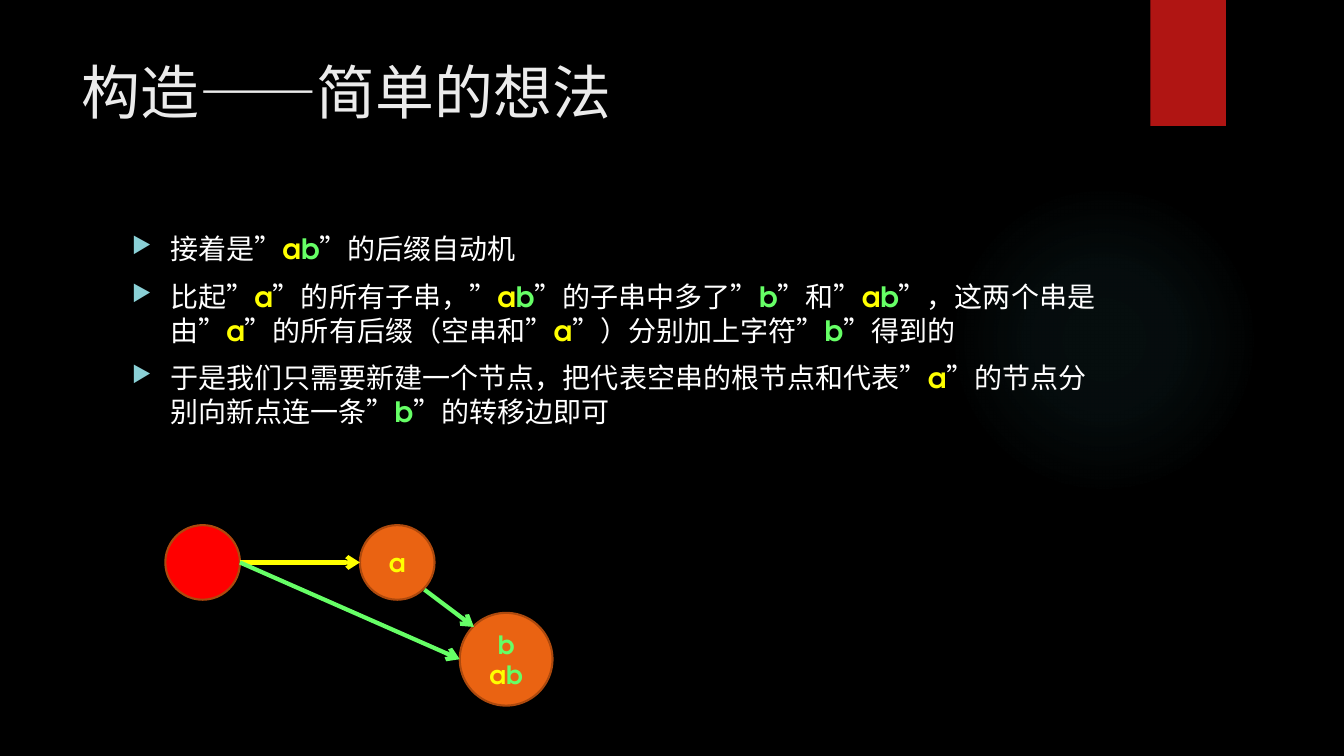
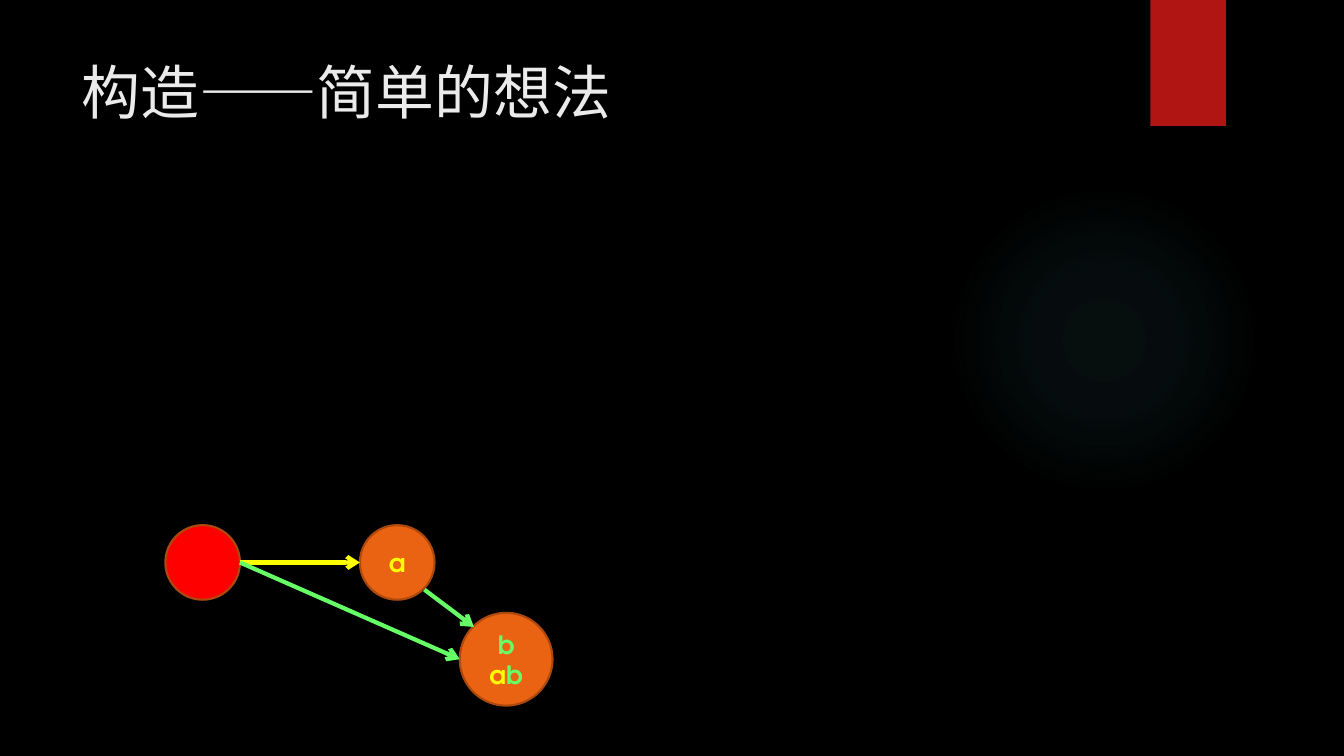
from itertools import groupby

from lxml import etree
from pptx import Presentation
from pptx.dml.color import RGBColor
from pptx.enum.shapes import MSO_CONNECTOR, MSO_SHAPE
from pptx.enum.text import MSO_ANCHOR, PP_ALIGN
from pptx.oxml import parse_xml
from pptx.oxml.ns import nsdecls, qn
from pptx.util import Inches, Pt

FONT = "TeX Gyre Adventor"
WHITE, TITLE, BAND, TEAL = "FFFFFF", "EBEBEB", "B01513", "50B9C1"
ROOT, NODE, NODE_EDGE, BULLET = "FF0000", "EA6312", "AD490D", "8AD0D6"
YELLOW, GREEN = "FFFF00", "66FF66"
LETTER_COLOURS = {"a": YELLOW, "b": GREEN}
GLOW_STOPS = [(0, 7), (36, 6), (69, 0)]  # position and opacity in percent

HEADING = "构造——简单的想法"
POINTS = [
    "接着是”ab”的后缀自动机",
    "比起”a”的所有子串，”ab”的子串中多了”b”和”ab”，这两个串是由”a”的所有后缀（空串和”a”）分别加上字符”b”得到的",
    "于是我们只需要新建一个节点，把代表空串的根节点和代表”a”的节点分别向新点连一条”b”的转移边即可",
]
# Left, top, diameter, fill, one label per line
STATES = [
    (1.64, 5.21, 0.74, ROOT, []),
    (3.57, 5.21, 0.74, NODE, ["a"]),
    (4.56, 6.08, 0.92, NODE, ["b", "ab"]),
]
# Start, end, letter read along the transition
TRANSITIONS = [
    ((2.38, 5.58), (3.57, 5.58), "a"),
    ((2.38, 5.58), (4.56, 6.54), "b"),
    ((4.21, 5.85), (4.70, 6.22), "b"),
]


def rgb(colour):
    return RGBColor.from_string(colour)


def write(frame, lines, size, colour=WHITE):
    """Fill a text frame; the letters a and b get their own colour in bold."""
    frame.word_wrap = True
    for number, line in enumerate(lines):
        paragraph = frame.add_paragraph() if number else frame.paragraphs[0]
        paragraph.font.name, paragraph.font.size = FONT, Pt(size)
        paragraph.font.color.rgb = rgb(colour)
        for letter_colour, letters in groupby(line, LETTER_COLOURS.get):
            run = paragraph.add_run()
            run.text = "".join(letters)
            if letter_colour:
                run.font.bold = True
                run.font.color.rgb = rgb(letter_colour)


prs = Presentation()
prs.slide_width, prs.slide_height = Inches(13.33), Inches(7.5)
background = prs.slide_master.background.fill
background.solid()
background.fore_color.rgb = rgb("000000")

for has_points in (True, False):
    slide = prs.slides.add_slide(prs.slide_layouts[6])

    # Faint round glow
    glow = slide.shapes.add_shape(
        MSO_SHAPE.OVAL, Inches(9.41), Inches(1.83), Inches(3.08), Inches(3.08))
    glow.shadow.inherit = False
    glow.line.fill.background()
    stops = "".join(
        f'<a:gs pos="{position * 1000}"><a:srgbClr val="{TEAL}">'
        f'<a:alpha val="{opacity * 1000}"/></a:srgbClr></a:gs>'
        for position, opacity in GLOW_STOPS)
    glow.element.spPr.find(qn("a:prstGeom")).addnext(parse_xml(
        f'<a:gradFill {nsdecls("a")}><a:gsLst>{stops}</a:gsLst><a:path path="circle">'
        '<a:fillToRect l="50000" t="50000" r="50000" b="50000"/></a:path></a:gradFill>'))

    # Red band
    band = slide.shapes.add_shape(
        MSO_SHAPE.RECTANGLE, Inches(11.41), 0, Inches(0.75), Inches(1.25))
    band.shadow.inherit = False
    band.fill.solid()
    band.fill.fore_color.rgb = rgb(BAND)
    band.line.fill.background()

    # Title
    title = slide.shapes.add_textbox(Inches(0.71), Inches(0.5), Inches(10.29), Inches(1.53))
    write(title.text_frame, [HEADING], 42, TITLE)

    # Bulleted points
    if has_points:
        points = slide.shapes.add_textbox(
            Inches(1.21), Inches(2.25), Inches(9.78), Inches(4.59))
        write(points.text_frame, POINTS, 20)
        for paragraph in points.text_frame.paragraphs:
            paragraph.space_before = Pt(10)
            properties = paragraph._p.get_or_add_pPr()
            properties.set("marL", str(Inches(0.38)))
            properties.set("indent", str(Inches(-0.38)))
            bullet = [
                f'<a:buClr {nsdecls("a")}><a:srgbClr val="{BULLET}"/></a:buClr>',
                f'<a:buSzPct {nsdecls("a")} val="80000"/>',
                f'<a:buChar {nsdecls("a")} char="▶"/>',
            ]
            for part in bullet:
                properties.find(qn("a:defRPr")).addprevious(parse_xml(part))

    # Automaton: loose shapes beside the points, one group when alone
    automaton = slide.shapes if has_points else slide.shapes.add_group_shape().shapes
    for left, top, diameter, fill, labels in STATES:
        state = automaton.add_shape(
            MSO_SHAPE.OVAL, Inches(left), Inches(top), Inches(diameter), Inches(diameter))
        state.shadow.inherit = False
        state.fill.solid()
        state.fill.fore_color.rgb = rgb(fill)
        state.line.color.rgb = rgb(NODE_EDGE)
        state.line.width = Pt(1.5)
        write(state.text_frame, labels, 18)
        state.text_frame.vertical_anchor = MSO_ANCHOR.MIDDLE
        for paragraph in state.text_frame.paragraphs:
            paragraph.alignment = PP_ALIGN.CENTER

    for start, end, letter in TRANSITIONS:
        transition = automaton.add_connector(
            MSO_CONNECTOR.STRAIGHT, *map(Inches, start + end))
        transition.line.color.rgb = rgb(LETTER_COLOURS[letter])
        transition.line.width = Pt(3)
        etree.SubElement(transition.line._get_or_add_ln(), qn("a:tailEnd"), type="arrow")
        etree.SubElement(transition._element.spPr, qn("a:effectLst"))

prs.save("out.pptx")
